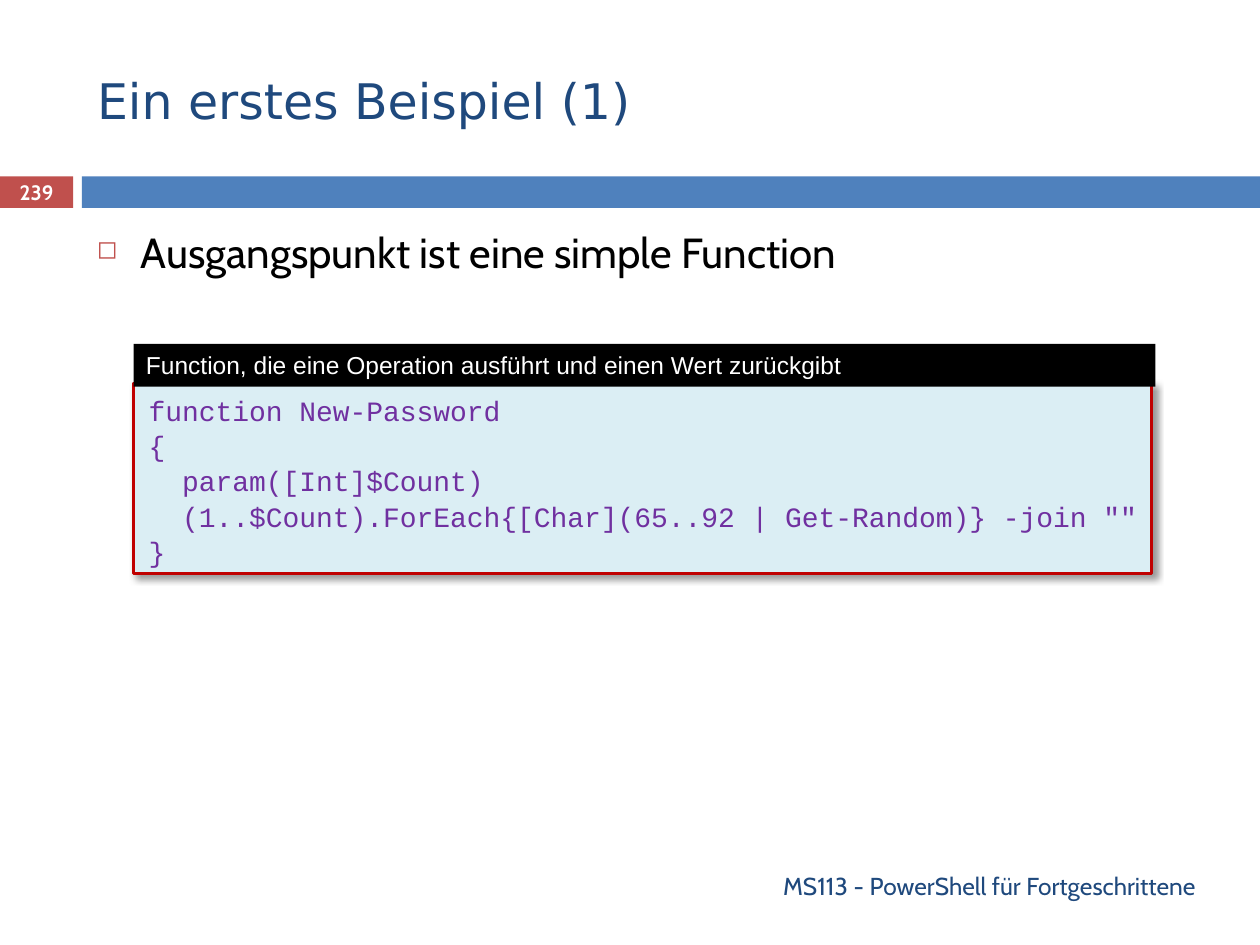
from dataclasses import dataclass

from lxml import etree
from pptx import Presentation
from pptx.dml.color import RGBColor
from pptx.enum import shapes, text
from pptx.oxml import ns
from pptx.util import Pt


@dataclass(frozen=True)
class Theme:
    navy: str = "1F497D"
    blue: str = "4F81BD"
    red: str = "C0504D"
    border: str = "C00000"
    panel: str = "DBEEF4"
    purple: str = "7030A0"
    black: str = "000000"
    white: str = "FFFFFF"
    title_size: float = 28
    body_size: float = 24
    code_size: float = 16
    label_size: float = 14
    number_size: float = 11.9
    heading_font: str = "DejaVu Sans"
    body_font: str = "Cabin"
    code_font: str = "Courier New"
    caption_font: str = "Arial"


THEME = Theme()
MARGIN, CONTENT_WIDTH = 48.24, 642.24
BAND_TOP, BAND_HEIGHT, NUMBER_WIDTH = 100.8, 18, 41.76
CODE_LEFT = 76.32
CODE = """function New-Password
{
  param([Int]$Count)
  (1..$Count).ForEach{[Char](65..92 | Get-Random)} -join ""
}"""


def add_xml(parent, tag, **attributes):
    return etree.SubElement(parent, ns.qn(tag), attributes)


def style(para, font, size, color, align=text.PP_ALIGN.LEFT, bold=False):
    para.alignment = align
    para.font.name = font
    para.font.size = Pt(size)
    para.font.bold = bold
    para.font.color.rgb = RGBColor.from_string(color)


def add_rectangle(page, left, top, width, height, fill):
    box = page.shapes.add_shape(
        shapes.MSO_SHAPE.RECTANGLE, Pt(left), Pt(top), Pt(width), Pt(height))
    box.shadow.inherit = False
    box.fill.solid()
    box.fill.fore_color.rgb = RGBColor.from_string(fill)
    box.line.fill.background()
    box.text_frame.vertical_anchor = text.MSO_ANCHOR.TOP
    return box


def add_label(page, left, top, width, height, wording,
              anchor=text.MSO_ANCHOR.MIDDLE):
    """Add a wrapping text box and return its only paragraph."""
    box = page.shapes.add_textbox(Pt(left), Pt(top), Pt(width), Pt(height))
    frame = box.text_frame
    frame.word_wrap = True
    frame.vertical_anchor = anchor
    frame.text = wording
    return frame.paragraphs[0]


def add_square_bullet(para):
    properties = para._p.get_or_add_pPr()
    properties.set("marL", str(Pt(25.2)))
    properties.set("indent", str(-Pt(25.2)))
    color = add_xml(properties, "a:buClr")
    add_xml(color, "a:srgbClr", val=THEME.red)
    add_xml(properties, "a:buSzPct", val="60000")
    add_xml(properties, "a:buChar", char="◻")


def add_drop_shadow(box):
    effects = box._element.spPr.find(ns.qn("a:effectLst"))
    shadow = add_xml(effects, "a:outerShdw", blurRad=str(Pt(4)),
                     dist=str(Pt(3)), dir="2700000", algn="tl", rotWithShape="0")
    color = add_xml(shadow, "a:srgbClr", val=THEME.black)
    add_xml(color, "a:alpha", val="40000")


def set_title(page, wording):
    title = page.shapes.title
    title.left, title.top = Pt(MARGIN), Pt(18)
    title.width, title.height = Pt(CONTENT_WIDTH), Pt(77.76)
    title.text_frame.text = wording
    title.text_frame.vertical_anchor = text.MSO_ANCHOR.MIDDLE
    style(title.text_frame.paragraphs[0], THEME.heading_font,
          THEME.title_size, THEME.navy)


def add_band(page):
    add_rectangle(page, 0, BAND_TOP, NUMBER_WIDTH, BAND_HEIGHT, THEME.red)
    add_rectangle(page, 46.8, BAND_TOP, 673.2, BAND_HEIGHT, THEME.blue)
    number = add_label(page, 0, 100.08, NUMBER_WIDTH, 19.44, "239")
    style(number, THEME.body_font, THEME.number_size, THEME.white,
          text.PP_ALIGN.CENTER, bold=True)


def add_code_panel(page, code):
    box = add_rectangle(page, CODE_LEFT, 218.88, 581.76, 108.72, THEME.panel)
    box.line.color.rgb = RGBColor.from_string(THEME.border)
    box.line.width = Pt(1.5)
    add_drop_shadow(box)
    frame = box.text_frame
    frame.margin_left, frame.margin_right = Pt(8.64), Pt(7.2)
    frame.margin_top = frame.margin_bottom = Pt(5.76)
    frame.text = code
    for index, para in enumerate(frame.paragraphs):
        para.space_before = Pt(1 if index else 0)
        style(para, THEME.code_font, THEME.code_size, THEME.purple)


def add_caption(page, wording):
    box = add_rectangle(page, CODE_LEFT, 196.56, 583.92, 24.48, THEME.black)
    box.text_frame.text = wording
    style(box.text_frame.paragraphs[0], THEME.caption_font,
          THEME.label_size, THEME.white)


def main():
    deck = Presentation()
    deck.slide_width, deck.slide_height = Pt(720), Pt(540)
    page = deck.slides.add_slide(deck.slide_layouts[5])

    set_title(page, "Ein erstes Beispiel (1)")
    add_band(page)
    bullet = add_label(page, MARGIN, 126, CONTENT_WIDTH, 354.24,
                       "Ausgangspunkt ist eine simple Function",
                       text.MSO_ANCHOR.TOP)
    add_square_bullet(bullet)
    style(bullet, THEME.body_font, THEME.body_size, THEME.black)
    add_code_panel(page, CODE)
    add_caption(page, "Function, die eine Operation ausführt und einen Wert zurückgibt")
    footer = add_label(page, MARGIN, 491.76, CONTENT_WIDTH, 28.8,
                       "MS113 - PowerShell für Fortgeschrittene")
    style(footer, THEME.body_font, THEME.label_size, THEME.navy,
          text.PP_ALIGN.RIGHT)
    deck.save("out.pptx")


if __name__ == "__main__":
    main()
